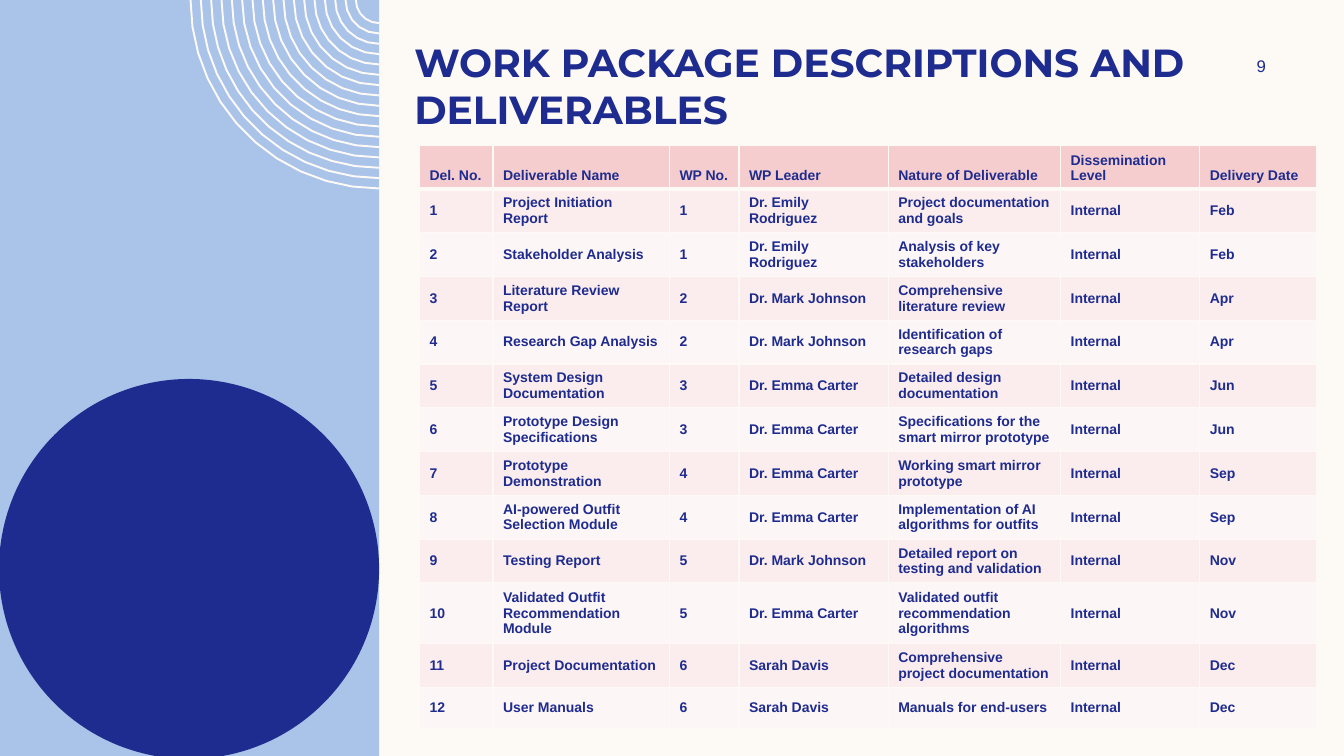
import math

import pptx
import pptx.dml.color
import pptx.enum.shapes
import pptx.enum.text
import pptx.oxml
import pptx.oxml.ns
import pptx.util

Inches = pptx.util.Inches
Pt = pptx.util.Pt
RGBColor = pptx.dml.color.RGBColor
Shape = pptx.enum.shapes.MSO_SHAPE
Anchor = pptx.enum.text.MSO_ANCHOR

CREAM = RGBColor(0xFD, 0xFA, 0xF6)
SKY = RGBColor(0xAA, 0xC3, 0xE8)
NAVY = RGBColor(0x1F, 0x2C, 0x8F)
HEADER_PINK = RGBColor(0xF5, 0xCD, 0xCE)
BAND_PINK = RGBColor(0xFB, 0xED, 0xED)
PALE_PINK = RGBColor(0xFD, 0xF6, 0xF6)

PANEL_RIGHT = 3.76
RING_COUNT = 17
RING_OUTER = 1.87
RING_INNER = 0.23

COLUMN_WIDTHS = [0.73, 1.75, 0.69, 1.48, 1.71, 1.38, 1.16]
ROW_HEIGHT = 0.41
HEADERS = ["Del. No.", "Deliverable Name", "WP No.", "WP Leader",
           "Nature of Deliverable", "Dissemination Level", "Delivery Date"]
EMILY, MARK = "Dr. Emily Rodriguez", "Dr. Mark Johnson"
EMMA, SARAH = "Dr. Emma Carter", "Sarah Davis"
LEVEL = "Internal"
# Name, work package, leader, nature, delivery month
DELIVERABLES = [
    ("Project Initiation Report", 1, EMILY, "Project documentation and goals", "Feb"),
    ("Stakeholder Analysis", 1, EMILY, "Analysis of key stakeholders", "Feb"),
    ("Literature Review Report", 2, MARK, "Comprehensive literature review", "Apr"),
    ("Research Gap Analysis", 2, MARK, "Identification of research gaps", "Apr"),
    ("System Design Documentation", 3, EMMA, "Detailed design documentation", "Jun"),
    ("Prototype Design Specifications", 3, EMMA,
     "Specifications for the smart mirror prototype", "Jun"),
    ("Prototype Demonstration", 4, EMMA, "Working smart mirror prototype", "Sep"),
    ("AI-powered Outfit Selection Module", 4, EMMA,
     "Implementation of AI algorithms for outfits", "Sep"),
    ("Testing Report", 5, MARK, "Detailed report on testing and validation", "Nov"),
    ("Validated Outfit Recommendation Module", 5, EMMA,
     "Validated outfit recommendation algorithms", "Nov"),
    ("Project Documentation", 6, SARAH, "Comprehensive project documentation", "Dec"),
    ("User Manuals", 6, SARAH, "Manuals for end-users", "Dec"),
]


def style_font(para, name, size, bold=False):
    para.font.name = name
    para.font.size = Pt(size)
    para.font.bold = bold
    para.font.color.rgb = NAVY


def add_preset(page, kind, left, top, width, height, color):
    shape = page.shapes.add_shape(
        kind, Inches(left), Inches(top), Inches(width), Inches(height))
    shape.shadow.inherit = False
    shape.fill.solid()
    shape.fill.fore_color.rgb = color
    shape.line.fill.background()


def quarter_arc(radius):
    """Points from the slide's top edge round to the panel's right edge."""
    steps = 4 + round(4 * radius)
    angles = [math.pi / 2 * step / steps for step in range(steps + 1)]
    return [(Inches(PANEL_RIGHT - radius * math.cos(angle)),
             Inches(radius * math.sin(angle))) for angle in angles]


def add_rings(page):
    """Draw the concentric quarter rings as one open outline."""
    gap = (RING_OUTER - RING_INNER) / (RING_COUNT - 1)
    arcs = [quarter_arc(RING_OUTER - index * gap) for index in range(RING_COUNT)]
    builder = page.shapes.build_freeform(*arcs[0][0])
    builder.add_line_segments(arcs[0][1:], close=False)
    for arc in arcs[1:]:
        builder.move_to(*arc[0])
        builder.add_line_segments(arc[1:], close=False)
    rings = builder.convert_to_shape()
    rings.shadow.inherit = False
    rings.fill.background()
    rings.line.color.rgb = CREAM
    rings.line.width = Pt(1.4)


def add_title(page, text):
    title = page.shapes.title
    title.left, title.top = Inches(4.01), Inches(0.33)
    title.width, title.height = Inches(8.93), Inches(0.84)
    frame = title.text_frame
    frame.text = text
    frame.word_wrap = True
    frame.auto_size = pptx.enum.text.MSO_AUTO_SIZE.NONE
    frame.vertical_anchor = Anchor.TOP
    para = frame.paragraphs[0]
    para.alignment = pptx.enum.text.PP_ALIGN.LEFT
    style_font(para, "Montserrat", 28, bold=True)


def add_page_number(page, number):
    box = page.shapes.add_textbox(Inches(11.97), Inches(0.5), Inches(1.08), Inches(0.3))
    frame = box.text_frame
    frame.text = number
    frame.word_wrap = True
    frame.vertical_anchor = Anchor.MIDDLE
    para = frame.paragraphs[0]
    para.alignment = pptx.enum.text.PP_ALIGN.CENTER
    style_font(para, "Arial", 12)


def add_borders(cell, top, bottom):
    """Add cream cell borders; top and bottom are widths in points."""
    properties = cell._tc.get_or_add_tcPr()
    for side, width in (("L", 1), ("R", 1), ("T", top), ("B", bottom)):
        properties.append(pptx.oxml.parse_xml(
            f'<a:ln{side} {pptx.oxml.ns.nsdecls("a")} w="{Pt(width)}">'
            f'<a:solidFill><a:srgbClr val="{CREAM}"/></a:solidFill></a:ln{side}>'))


def fill_cell(cell, text, row):
    add_borders(cell, top=3 if row == 1 else 1, bottom=3 if row == 0 else 1)
    cell.fill.solid()
    if row == 0:
        cell.fill.fore_color.rgb = HEADER_PINK
    else:
        cell.fill.fore_color.rgb = BAND_PINK if row % 2 else PALE_PINK
    cell.vertical_anchor = Anchor.MIDDLE if row else Anchor.BOTTOM
    cell.text = text
    style_font(cell.text_frame.paragraphs[0], "Arial", 10, bold=True)


def add_deliverables_table(page):
    rows = [HEADERS]
    for number, (name, package, leader, nature, month) in enumerate(DELIVERABLES, 1):
        rows.append([str(number), name, str(package), leader, nature, LEVEL, month])
    table = page.shapes.add_table(
        len(rows), len(HEADERS), Inches(4.16), Inches(1.44),
        Inches(sum(COLUMN_WIDTHS)), Inches(ROW_HEIGHT * len(rows))).table
    for column, width in zip(table.columns, COLUMN_WIDTHS):
        column.width = Inches(width)
    for row, texts in enumerate(rows):
        table.rows[row].height = Inches(ROW_HEIGHT)
        for column, text in enumerate(texts):
            fill_cell(table.cell(row, column), text, row)


def main():
    deck = pptx.Presentation()
    deck.slide_width, deck.slide_height = Inches(13.33), Inches(7.5)
    page = deck.slides.add_slide(deck.slide_layouts[5])
    page.background.fill.solid()
    page.background.fill.fore_color.rgb = CREAM

    add_preset(page, Shape.RECTANGLE, -0.01, 0, 3.77, 7.54, SKY)
    add_rings(page)
    add_preset(page, Shape.OVAL, -0.01, 3.76, 3.77, 3.77, NAVY)
    add_title(page, "WORK PACKAGE DESCRIPTIONS AND DELIVERABLES")
    add_page_number(page, "9")
    add_deliverables_table(page)
    deck.save("out.pptx")


if __name__ == "__main__":
    main()
